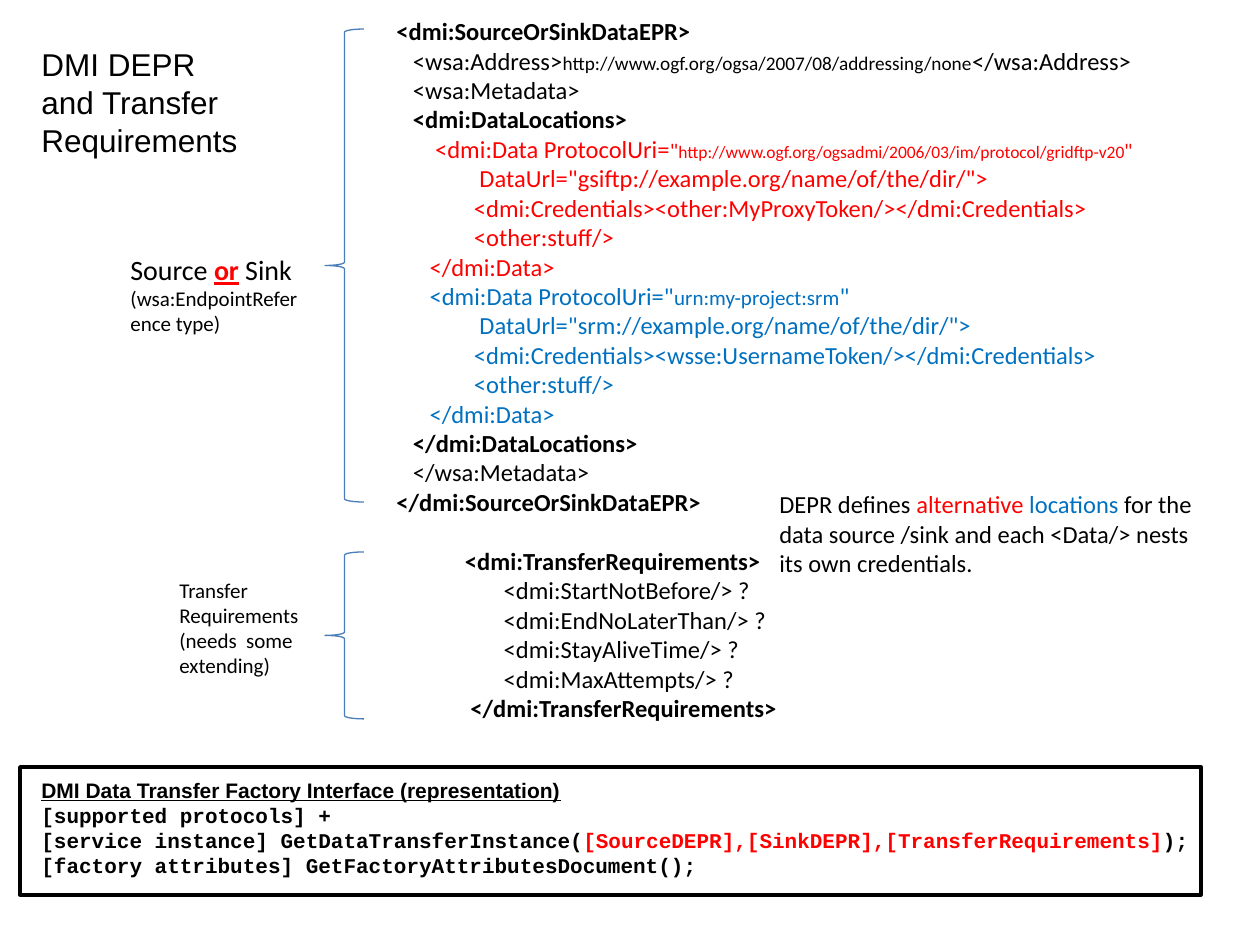
from pptx import Presentation
from pptx.dml.color import RGBColor
from pptx.enum.shapes import MSO_SHAPE
from pptx.util import Emu, Pt

PX = 914400 // 126  # EMU per px, 126 px to the inch
BRACE, RECTANGLE = MSO_SHAPE.LEFT_BRACE, MSO_SHAPE.RECTANGLE
COLORS = {"black": "000000", "red": "FF0000", "blue": "0070C0", "brace": "4A7EBB"}

deck = Presentation()
deck.slide_width, deck.slide_height = Emu(1260 * PX), Emu(945 * PX)
page = deck.slides.add_slide(deck.slide_layouts[6])


def add_text(left, top, width, height, lines, font="Calibri", size=14, bold=False):
    """Each line is a list of spans: (text, changes from the defaults)."""
    box = page.shapes.add_textbox(*(Emu(n * PX) for n in (left, top, width, height)))
    frame = box.text_frame
    frame.word_wrap = True
    for index, line in enumerate(lines):
        para = frame.add_paragraph() if index else frame.paragraphs[0]
        for text, style in line:
            span = para.add_run()
            span.text = text
            target = para.font if len(line) == 1 else span.font
            target.name = style.get("font", font)
            target.size = Pt(style.get("size", size))
            target.bold = style.get("bold", bold)
            target.underline = style.get("underline", False)
            target.color.rgb = RGBColor.from_string(COLORS[style.get("color", "black")])
    return frame


def add_outline(kind, left, top, width, height, color, weight):
    shape = page.shapes.add_shape(kind, *(Emu(n * PX) for n in (left, top, width, height)))
    shape.shadow.inherit = False
    shape.fill.background()
    shape.line.color.rgb = RGBColor.from_string(COLORS[color])
    shape.line.width = Pt(weight)


PLAIN, BOLD = {}, {"bold": True}
RED, BLUE = {"color": "red"}, {"color": "blue"}

# XML listing: endpoint reference, then transfer requirements
reference = [
    [("<dmi:SourceOrSinkDataEPR>", BOLD)],
    [("   <wsa:Address>", PLAIN),
     ("http://www.ogf.org/ogsa/2007/08/addressing/none", {"size": 11}),
     ("</wsa:Address>", PLAIN)],
    [("   <wsa:Metadata>", PLAIN)],
    [("   <dmi:DataLocations>", BOLD)],
    [("       <dmi:Data ProtocolUri=", RED),
     ('"', {"color": "red", "size": 12}),
     ("http://www.ogf.org/ogsadmi/2006/03/im/protocol/gridftp-v20",
      {"color": "red", "size": 10}),
     ('"', {"color": "red", "size": 12})],
    [('               DataUrl="gsiftp://example.org/name/of/the/dir/">', RED)],
    [("              <dmi:Credentials><other:MyProxyToken/></dmi:Credentials>", RED)],
    [("              <other:stuff/>", RED)],
    [("      </dmi:Data>", RED)],
    [('      <dmi:Data ProtocolUri="', BLUE),
     ("urn:my-project:srm", {"color": "blue", "size": 12}),
     ('"', BLUE)],
    [('               DataUrl="srm://example.org/name/of/the/dir/">', BLUE)],
    [("              <dmi:Credentials><wsse:UsernameToken/></dmi:Credentials>", BLUE)],
    [("              <other:stuff/>", BLUE)],
    [("      </dmi:Data>", BLUE)],
    [("   </dmi:DataLocations>", BOLD)],
    [("   </wsa:Metadata>", PLAIN)],
    [("</dmi:SourceOrSinkDataEPR>", BOLD)],
]
requirements = [
    [(" <dmi:TransferRequirements>", BOLD)],
    [("        <dmi:StartNotBefore/> ?", PLAIN)],
    [("        <dmi:EndNoLaterThan/> ?", PLAIN)],
    [("        <dmi:StayAliveTime/> ?", PLAIN)],
    [("        <dmi:MaxAttempts/> ?", PLAIN)],
    [("  </dmi:TransferRequirements>", BOLD)],
]
listing = add_text(384, 10, 816, 719, reference + requirements)
indented = listing.paragraphs[len(reference):]
indented[0].space_before = Pt(17)
for para in indented:
    para._p.get_or_add_pPr().set("marL", str(63 * PX))

# Factory interface
add_text(29, 771, 1211, 113, [
    [("DMI Data Transfer Factory Interface (representation)",
      {"font": "Arial", "underline": True})],
    [("[supported protocols] +", PLAIN)],
    [("[service instance] GetDataTransferInstance(", PLAIN),
     ("[SourceDEPR],[SinkDEPR],[TransferRequirements]", RED),
     (");", PLAIN)],
    [("[factory attributes] GetFactoryAttributesDocument();", PLAIN)],
], font="Courier New", size=12, bold=True)
add_outline(RECTANGLE, 20, 767, 1181, 128, "black", 2)

# Braces and their labels
for top, height in ((29, 473), (552, 167)):
    add_outline(BRACE, 325, top, 39, height, "brace", 0.75)
add_text(118, 246, 197, 97, [
    [("Source ", PLAIN),
     ("or", {"color": "red", "bold": True, "underline": True}),
     (" Sink", PLAIN)],
    [("(wsa:EndpointReference type)", {"size": 12})],
], size=16)
add_text(167, 571, 168, 113, [
    [("Transfer", PLAIN)],
    [("Requirements (needs  some extending)", PLAIN)],
], size=12)

# Title and remark
add_text(29, 39, 237, 126, [[("DMI DEPR and Transfer Requirements", PLAIN)]],
         font="Arial", size=18)
add_text(767, 483, 462, 101, [
    [("DEPR defines ", PLAIN), ("alternative ", RED), ("locations", BLUE),
     (" for the data source /sink and each <Data/> nests its own credentials.", PLAIN)],
])

deck.save("out.pptx")
